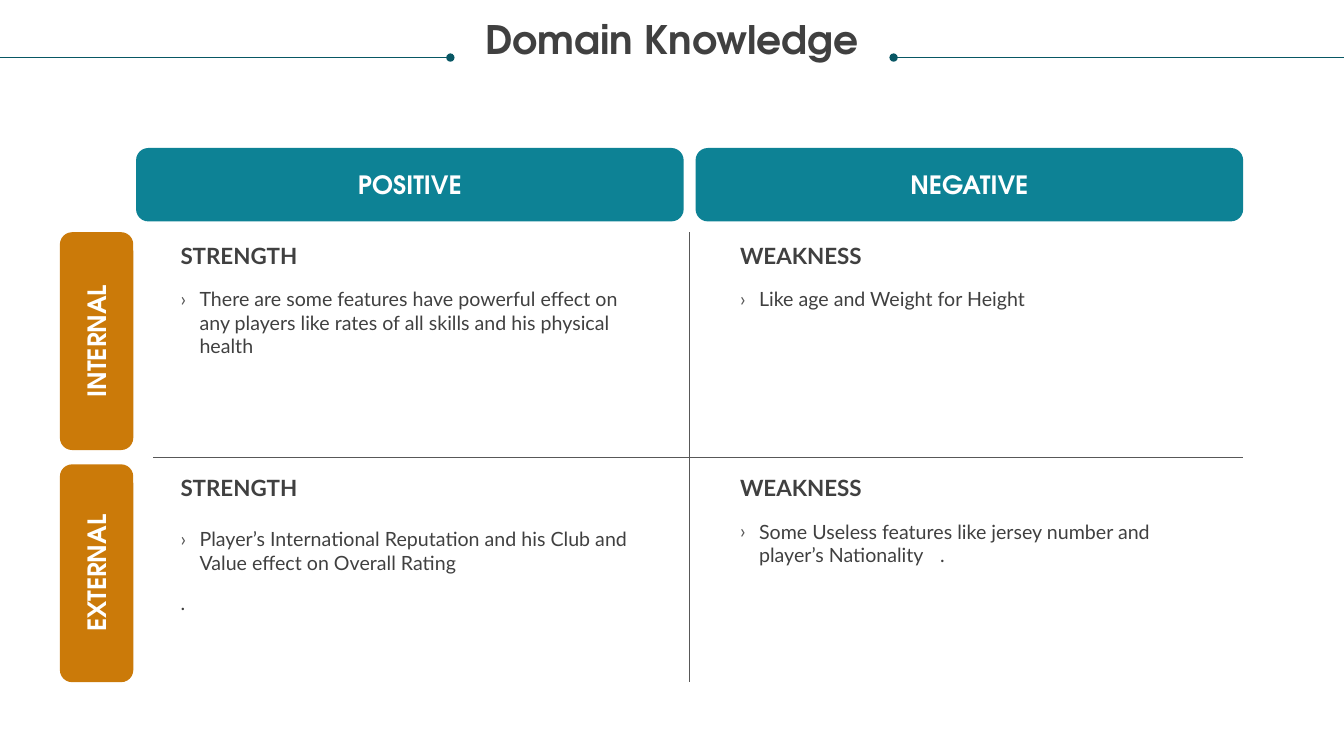
from dataclasses import dataclass

from lxml import etree
from pptx import Presentation
from pptx import util as u
from pptx.dml.color import RGBColor
from pptx.enum import shapes, text
from pptx.oxml import ns


@dataclass(frozen=True)
class Theme:
    heading_font: str = "TeX Gyre Adventor"
    body_font: str = "Lato"
    ink: str = "404040"
    grid: str = "585858"
    title_rule: str = "085764"
    column_tab: str = "0D8295"
    row_tab: str = "CB7A09"
    tab_text: str = "FFFFFF"
    title_size: int = 28
    tab_size: int = 18
    heading_size: int = 16
    body_size: int = 14
    line_width: float = 0.5


THEME = Theme()

SLIDE_WIDTH, SLIDE_HEIGHT = 33.87, 19.05
COLUMN_LEFT, COLUMN_PITCH, COLUMN_WIDTH = 3.43, 14.1, 13.8
ROW_TOP, ROW_PITCH, ROW_HEIGHT = 5.85, 5.85, 5.49
TAB_TOP, TAB_LEFT, TAB_THICKNESS = 3.73, 1.51, 1.85

COLUMNS = ["POSITIVE", "NEGATIVE"]
ROWS = ["INTERNAL", "EXTERNAL"]
# Each cell: heading, offset of its body, bullet, extra paragraph, set-apart ending
CELLS = [
    [
        ("STRENGTH", 1.14, "There are some features have powerful effect on any players "
         "like rates of all skills and his physical health", "", ""),
        ("WEAKNESS", 1.14, "Like age and Weight for Height", "", ""),
    ],
    [
        ("STRENGTH", 1.33, "Player’s International Reputation and his Club and "
         "Value effect on Overall Rating", ".", ""),
        ("WEAKNESS", 1.14, "Some Useless features like jersey number and "
         "player’s Nationality", "", "."),
    ],
]


def add_child(parent, tag, **attributes):
    return etree.SubElement(parent, ns.qn(tag), attributes)


def add_run(paragraph, words, size, color=THEME.ink, font=THEME.body_font, bold=False):
    run = paragraph.add_run()
    run.text = words
    run.font.size = u.Pt(size)
    run.font.name = font
    run.font.bold = bold
    run.font.color.rgb = RGBColor.from_string(color)
    return run


def add_text_frame(slide, left, top, width, height):
    box = slide.shapes.add_textbox(u.Cm(left), u.Cm(top), u.Cm(width), u.Cm(height))
    frame = box.text_frame
    frame.word_wrap = True
    frame.margin_left = frame.margin_right = frame.margin_top = frame.margin_bottom = 0
    return frame


def add_line(slide, start, end, color, dot_at_end=False):
    line = slide.shapes.add_connector(
        shapes.MSO_CONNECTOR.STRAIGHT, *(u.Cm(value) for value in (*start, *end)))
    line.line.color.rgb = RGBColor.from_string(color)
    line.line.width = u.Pt(THEME.line_width)
    if dot_at_end:
        add_child(line.line._get_or_add_ln(), "a:tailEnd", type="oval")
    add_child(line._element.spPr, "a:effectLst")


def add_tab(slide, label, left, top, width, height, color, rotation=0):
    tab = slide.shapes.add_shape(
        shapes.MSO_SHAPE.ROUNDED_RECTANGLE,
        u.Cm(left), u.Cm(top), u.Cm(width), u.Cm(height))
    tab.rotation = rotation
    tab.shadow.inherit = False
    tab.fill.solid()
    tab.fill.fore_color.rgb = RGBColor.from_string(color)
    tab.line.fill.background()
    tab.text_frame.vertical_anchor = text.MSO_ANCHOR.MIDDLE
    paragraph = tab.text_frame.paragraphs[0]
    paragraph.alignment = text.PP_ALIGN.CENTER
    add_run(paragraph, label, THEME.tab_size, THEME.tab_text, THEME.heading_font, True)


def add_row_tab(slide, label, left, top, width, height):
    """Place an upright tab, reading upwards, in the given visible box."""
    shift = (height - width) / 2
    add_tab(slide, label, left - shift, top + shift, height, width, THEME.row_tab, 270)


def add_title(slide, title, left, top, width, height):
    frame = add_text_frame(slide, left, top, width, height)
    paragraph = frame.paragraphs[0]
    paragraph.alignment = text.PP_ALIGN.CENTER
    paragraph.line_spacing = 0.9
    add_run(paragraph, title, THEME.title_size, font=THEME.heading_font, bold=True)
    rule_top, rule_length = top + 0.92, 11.35
    for edge, inner in ((0, rule_length), (SLIDE_WIDTH, SLIDE_WIDTH - rule_length)):
        add_line(slide, (edge, rule_top), (inner, rule_top), THEME.title_rule, True)


def set_bullet(paragraph):
    properties = paragraph._p.get_or_add_pPr()
    indent = u.Cm(0.48)
    properties.set("marL", str(indent))
    properties.set("indent", str(-indent))
    add_child(add_child(properties, "a:buClr"), "a:srgbClr", val=THEME.grid)
    add_child(properties, "a:buFont", typeface=THEME.body_font)
    add_child(properties, "a:buChar", char="›")


def add_cell(slide, cell, left, top, width):
    heading, body_offset, bullet, extra, ending = cell
    frame = add_text_frame(slide, left, top, width, 0.69)
    add_run(frame.paragraphs[0], heading, THEME.heading_size, bold=True)

    frame = add_text_frame(slide, left, top + body_offset, width, 2.24 if extra else 1.2)
    paragraph = frame.paragraphs[0]
    paragraph.space_before = u.Pt(12)
    set_bullet(paragraph)
    add_run(paragraph, bullet, THEME.body_size)
    if ending:
        gap = add_run(paragraph, " ", THEME.body_size)
        gap.font._element.set("spc", "800")
        add_run(paragraph, ending, THEME.body_size)
    if extra:
        paragraph = frame.add_paragraph()
        paragraph.space_before = u.Pt(12)
        add_run(paragraph, extra, THEME.body_size)


def add_matrix(slide, left, top):
    """Place tabs, dividers and cells; left and top are the corner of the cells."""
    for column, label in enumerate(COLUMNS):
        add_tab(slide, label, left + column * COLUMN_PITCH, TAB_TOP,
                COLUMN_WIDTH, TAB_THICKNESS, THEME.column_tab)
    for row, label in enumerate(ROWS):
        add_row_tab(slide, label, TAB_LEFT, top + row * ROW_PITCH,
                    TAB_THICKNESS, ROW_HEIGHT)

    right = left + COLUMN_PITCH + COLUMN_WIDTH
    bottom = top + ROW_PITCH + ROW_HEIGHT
    middle_x = left + (COLUMN_PITCH + COLUMN_WIDTH) / 2
    middle_y = top + (ROW_PITCH + ROW_HEIGHT) / 2
    add_line(slide, (left + 0.43, middle_y), (right, middle_y), THEME.grid)
    add_line(slide, (middle_x, top), (middle_x, bottom), THEME.grid)

    for row, cells in enumerate(CELLS):
        for column, cell in enumerate(cells):
            add_cell(slide, cell, left + column * COLUMN_PITCH + 1.12,
                     top + row * ROW_PITCH + 0.25, 11.56)


def main():
    presentation = Presentation()
    presentation.slide_width = u.Cm(SLIDE_WIDTH)
    presentation.slide_height = u.Cm(SLIDE_HEIGHT)
    slide = presentation.slides.add_slide(presentation.slide_layouts[6])
    add_title(slide, "Domain Knowledge", 0.64, 0.53, 32.59, 1.85)
    add_matrix(slide, COLUMN_LEFT, ROW_TOP)
    presentation.save("out.pptx")


if __name__ == "__main__":
    main()
